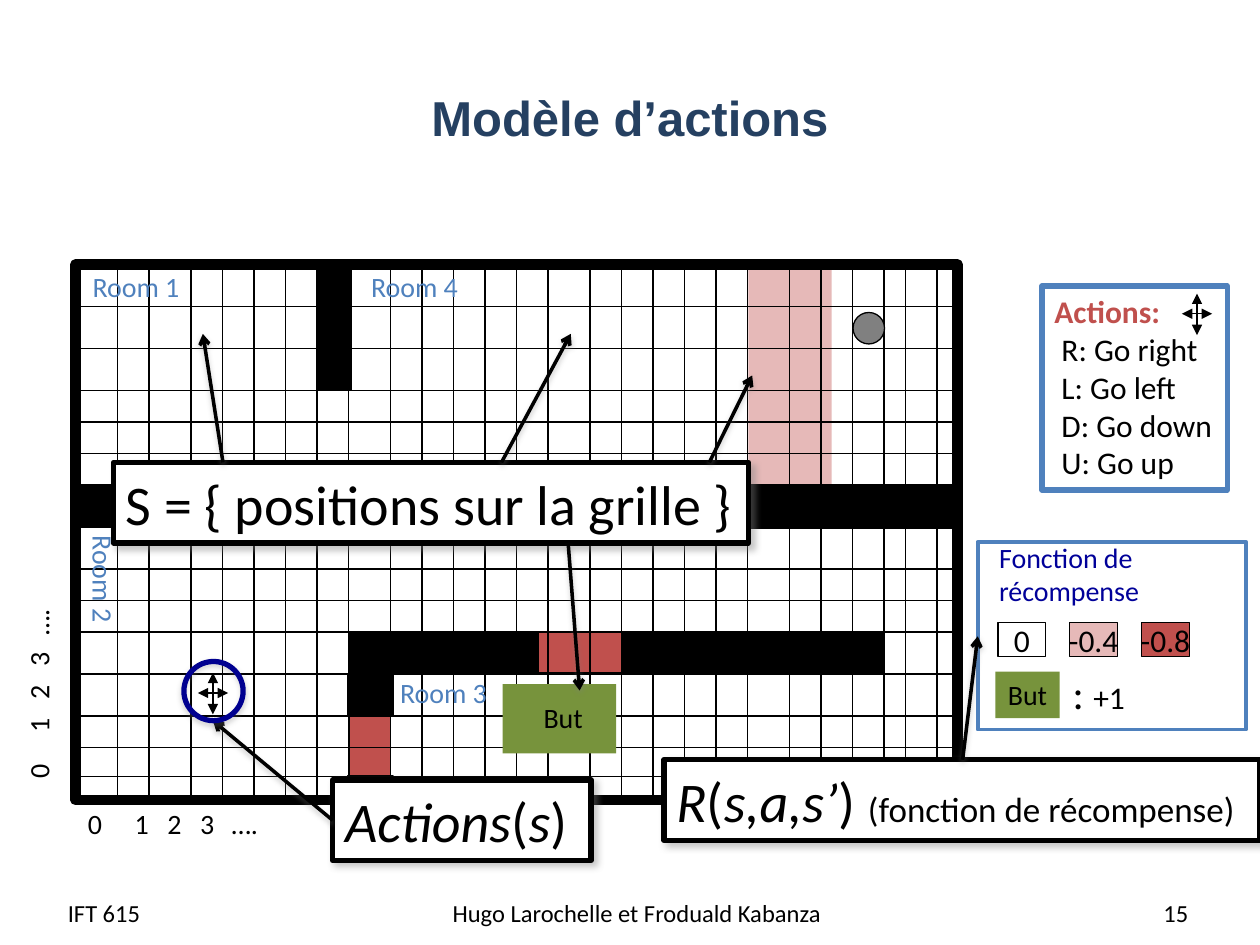
from dataclasses import dataclass
from itertools import accumulate

import lxml.etree
import pptx
import pptx.dml.color
import pptx.enum.shapes
import pptx.enum.text
import pptx.oxml.ns
import pptx.util

Inches = pptx.util.Inches
SHAPES = pptx.enum.shapes.MSO_SHAPE
ALIGN = pptx.enum.text.PP_ALIGN
MIDDLE = pptx.enum.text.MSO_ANCHOR.MIDDLE


@dataclass(frozen=True)
class Theme:
    font: str = "Calibri"
    title_font: str = "Arial"
    black: str = "000000"
    white: str = "FFFFFF"
    navy: str = "254061"
    blue: str = "4F81BD"
    ink: str = "000099"
    ring: str = "000090"
    red: str = "C0504D"
    pink: str = "E6B9B8"
    green: str = "77933C"
    gray: str = "808080"
    small: int = 14
    label: int = 16
    body: int = 18
    note: int = 20
    sign: int = 24
    title: int = 28
    formula: int = 32


def rgb(value):
    return pptx.dml.color.RGBColor.from_string(value)


def xml_child(parent, tag, **attributes):
    child = lxml.etree.SubElement(parent, pptx.oxml.ns.qn(tag))
    for key, value in attributes.items():
        child.set(key, str(value))
    return child


class Board:
    def __init__(self, slide, theme):
        self.slide = slide
        self.theme = theme

    def shape(self, box, fill=None, line=None, width=0.75, kind=SHAPES.RECTANGLE):
        shape = self.slide.shapes.add_shape(kind, *map(Inches, box))
        shape.shadow.inherit = False
        if fill:
            shape.fill.solid()
            shape.fill.fore_color.rgb = rgb(fill)
        else:
            shape.fill.background()
        if line:
            shape.line.color.rgb = rgb(line)
            shape.line.width = pptx.util.Pt(width)
        else:
            shape.line.fill.background()
        return shape

    def shadow(self, shape, alpha, blur, distance, angle):
        """Replace the effects of a shape by one outer shadow."""
        properties = shape.element.spPr
        for old in properties.findall(pptx.oxml.ns.qn("a:effectLst")):
            properties.remove(old)
        outer = xml_child(xml_child(properties, "a:effectLst"), "a:outerShdw",
                          blurRad=pptx.util.Pt(blur), dist=pptx.util.Pt(distance),
                          dir=angle * 60000, algn="ctr", rotWithShape=0)
        color = xml_child(outer, "a:srgbClr", val=self.theme.gray)
        xml_child(color, "a:alpha", val=alpha * 1000)

    def line(self, start, end, width=0.75, head=None):
        line = self.slide.shapes.add_connector(
            pptx.enum.shapes.MSO_CONNECTOR.STRAIGHT, *map(Inches, start + end))
        line.line.color.rgb = rgb(self.theme.black)
        line.line.width = pptx.util.Pt(width)
        if head:
            xml_child(line.element.spPr.get_or_add_ln(), "a:tailEnd", type=head)
        xml_child(line.element.spPr, "a:effectLst")
        return line

    def pointer(self, start, end):
        self.shadow(self.line(start, end, 2, "arrow"), 38, 3.1, 1.6, 90)

    def four_way(self, x, y):
        """Draw the four move arrows around a centre."""
        self.line((x, y - 0.08), (x, y + 0.17), head="triangle")
        for dx, dy in ((0, -0.16), (-0.12, 0), (0.12, 0)):
            self.line((x, y), (x + dx, y + dy), head="triangle")

    def caption(self, shape, text, size, color=None, align=ALIGN.CENTER, wrap=False,
                anchor=pptx.enum.text.MSO_ANCHOR.TOP, font=None, bold=False):
        frame = shape.text_frame
        frame.word_wrap = wrap
        frame.vertical_anchor = anchor
        frame.text = text
        for paragraph in frame.paragraphs:
            paragraph.alignment = align
            for run in paragraph.runs:
                self.style(run, size, color, font, bold)
        return frame

    def style(self, run, size, color=None, font=None, bold=False, italic=False):
        run.font.name = font or self.theme.font
        run.font.size = pptx.util.Pt(size)
        run.font.bold = bold
        run.font.italic = italic
        run.font.color.rgb = rgb(color or self.theme.black)

    def text(self, box, text, size, color=None, **options):
        holder = self.slide.shapes.add_textbox(*map(Inches, box))
        self.caption(holder, text, size, color, **options)
        return holder

    def axis(self, box, rotation=0):
        """Number the cells along one side of the grid."""
        holder = self.text(box, "0\t1\t2\t3\t….", self.theme.label, align=ALIGN.LEFT)
        holder.rotation = rotation
        paragraph = holder.text_frame.paragraphs[0]
        stops = xml_child(paragraph._p.get_or_add_pPr(), "a:tabLst")
        for stop in (0.37, 0.63, 0.89, 1.14):
            xml_child(stops, "a:tab", pos=Inches(stop), algn="l")

    def wall(self, x, y, widths, height=1 / 3):
        for left, width in zip(accumulate(widths, initial=x), widths):
            self.shape((left, y, width, height), self.theme.black, self.theme.black)

    def callout(self, box, parts):
        """Draw a framed formula from (text, size, italic) parts."""
        frame = self.shape(box, self.theme.white, self.theme.black, 3)
        self.shadow(frame, 43, 4, 3, 45)
        frame.text_frame.word_wrap = True
        paragraph = frame.text_frame.paragraphs[0]
        paragraph.alignment = ALIGN.LEFT
        for words, size, italic in parts:
            run = paragraph.add_run()
            run.text = words
            self.style(run, size, italic=italic)


def draw_grid(board):
    t = board.theme
    left, top, right, bottom = 0.6, 2.1, 7.6, 6.35
    narrow, wide = 1 / 4, 1 / 3
    board.shape((left, top, right - left, bottom - top), line=t.black, width=6)
    board.line((2.77, top), (2.77, 3.1), 3)
    board.line((right, 4.18), (5.52, 4.18), 3)
    columns = ([wide, narrow, wide] + [narrow] * 5 + ([wide] + [narrow] * 5) * 2
               + [wide] + [narrow] * 3 + [narrow - 0.08, narrow])
    for x in accumulate(columns, initial=left):
        if x > left:
            board.line((x, top), (x, bottom))
    rows = [wide] * 3 + [narrow] * 3 + [wide] * 2 + [narrow] * 2 + [wide] * 2 + [narrow, 0.23]
    for y in accumulate(rows, initial=top):
        if y > top:
            board.line((left, y), (right, y))

    for step in range(3):
        board.wall(2.52, top + step * wide, [narrow])
    board.wall(left, 3.85, [wide])
    board.wall(5.77, 3.85, [narrow, wide, wide] * 2)
    board.wall(2.77, 5.01, [wide, narrow, wide, wide, narrow])
    board.wall(4.93, 5.01, [narrow, wide, wide, narrow, 0.42, 0.5])
    board.wall(2.76, 5.35, [0.36])
    board.wall(2.76, 6.16, [0.36], 0.19)

    for number, x, y, rotation in ((1, 0.63, 2.09, 0), (4, 2.84, 2.09, 0),
                                   (2, 0.37, 4.41, 90), (3, 3.07, 5.31, 0)):
        room = board.text((x, y, 0.9, 0.37), f"Room {number}", t.label, t.blue)
        room.rotation = rotation
    board.shape((6.77, 2.48, 0.25, 0.25), t.gray, t.black, kind=SHAPES.OVAL)
    board.shape((3.99, 5.43, 0.9, 0.55), t.green)
    board.caption(board.shape((4.21, 5.51, 0.52, 0.37), t.green), "But", t.label)
    board.axis((0.6, 6.35, 1.63, 0.37))
    board.axis((-0.51, 5.28, 1.63, 0.37), 270)


def draw_rewards(board):
    t = board.theme
    for x, fill, reward in ((7.92, t.white, "0"), (8.49, t.pink, "-0.4"), (9.06, t.red, "-0.8")):
        cell = board.shape((x, 4.94, 0.38, 0.27), fill, t.black)
        board.caption(cell, reward, t.body, anchor=MIDDLE)
    board.text((7.82, 4.24, 1.33, 0.64), "Fonction de \nrécompense", t.label, t.ink)
    goal = board.text((8.41, 5.25, 0.62, 0.5), ": ", t.sign)
    bonus = goal.text_frame.paragraphs[0].add_run()
    bonus.text = "+1"
    board.style(bonus, t.body)
    board.caption(board.shape((7.9, 5.33, 0.51, 0.37), t.green), "But", t.label)
    board.shape((7.76, 4.3, 2.13, 1.49), line=t.blue, width=2.25)


def draw_formulas(board):
    t = board.theme
    big = t.formula
    board.callout((0.9, 3.67, 5.04, 0.64), [("S = { positions sur la grille }", big, False)])
    for start, end in (((1.77, 3.67), (1.61, 2.65)), ((3.98, 3.67), (4.53, 2.65)),
                       ((5.63, 3.67), (5.97, 2.98)), ((4.51, 4.32), (4.6, 5.48))):
        board.pointer(start, end)
    board.callout((5.27, 6.03, 4.73, 0.64), [
        ("R", big, True), ("(", big, False), ("s,a,s’", big, True), (") ", big, False),
        ("(fonction de récompense)", t.note, False)])
    board.pointer((7.64, 6.03), (7.76, 5.05))
    board.callout((2.64, 6.19, 2.05, 0.64), [
        ("Actions", big, True), ("(", big, False), ("s", big, True), (")", big, False)])
    board.pointer((2.64, 6.51), (1.69, 5.72))
    ring = board.shape((1.46, 5.25, 0.47, 0.47), line=t.ring, width=3, kind=SHAPES.OVAL)
    board.shadow(ring, 35, 3.1, 1.8, 90)
    board.four_way(1.69, 5.5)


def main():
    deck = pptx.Presentation()
    deck.slide_width, deck.slide_height = Inches(10), Inches(7.5)
    t = Theme()
    board = Board(deck.slides.add_slide(deck.slide_layouts[6]), t)

    board.shape((5.94, 2.1, 0.66, 1.75), t.pink)
    board.shape((4.27, 5.01, 0.67, 0.33), t.red, t.black)
    board.shape((2.77, 5.65, 0.33, 0.51), t.red, t.black)
    board.text((0.5, 0.3, 9, 1.25), "Modèle d’actions", t.title, t.navy, wrap=True,
               anchor=MIDDLE, font=t.title_font, bold=True)
    actions = board.caption(
        board.shape((8.27, 2.27, 1.47, 1.62), line=t.blue, width=3),
        "Actions:\n R: Go right\n L: Go left\n D: Go down\n U: Go up", t.body, align=ALIGN.LEFT)
    board.style(actions.paragraphs[0].runs[0], t.body, t.red, bold=True)
    draw_grid(board)
    board.four_way(9.5, 2.49)
    for x, width, words, align in (
            (0.44, 1.93, "IFT 615", ALIGN.LEFT),
            (3.47, 3.17, "Hugo Larochelle et Froduald Kabanza", ALIGN.CENTER),
            (7.2, 2.33, "15", ALIGN.RIGHT)):
        board.text((x, 7.04, width, 0.4), words, t.small, align=align, wrap=True, anchor=MIDDLE)
    draw_rewards(board)
    draw_formulas(board)
    deck.save("out.pptx")


if __name__ == "__main__":
    main()
